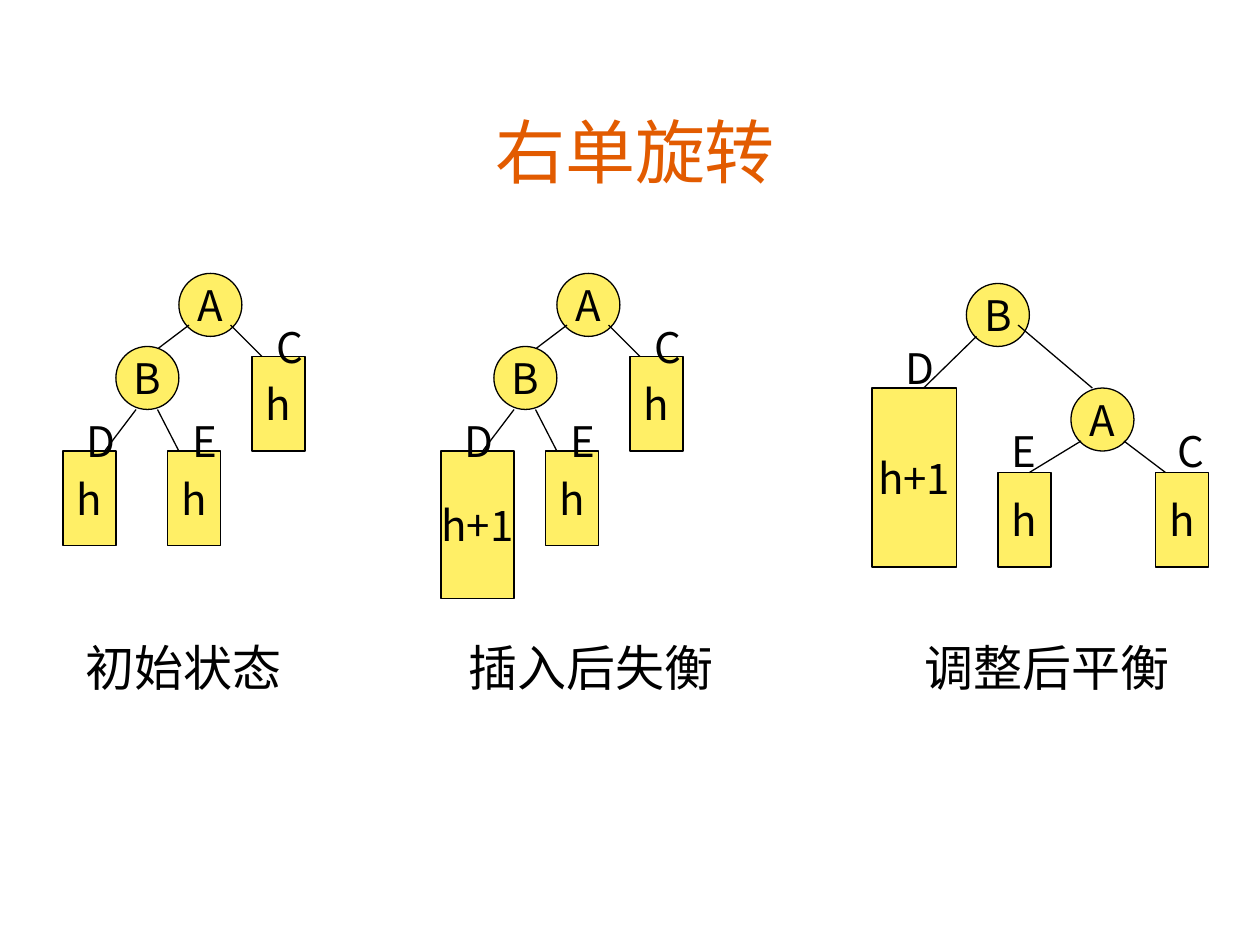
from lxml import etree
from pptx import Presentation
from pptx.dml.color import RGBColor
from pptx.enum.shapes import MSO_CONNECTOR, MSO_SHAPE
from pptx.enum.text import MSO_ANCHOR, MSO_AUTO_SIZE, PP_ALIGN
from pptx.oxml.ns import qn
from pptx.util import Inches, Pt

BLACK = RGBColor(0x00, 0x00, 0x00)
YELLOW = RGBColor(0xFF, 0xEF, 0x66)
ORANGE = RGBColor(0xE2, 0x5B, 0x00)
BODY_FONT = "Noto Sans CJK SC"
TITLE_FONT = "Comic Neue"
LINE_WIDTH = Pt(0.74)
NODE_SIZE = 0.5
LEAF_SIZE = (0.42, 0.75)
LABEL_SIZE = (0.6, 0.5)

# Content: parts of each tree, from back to front
TITLE = "右单旋转"


def unrotated_tree(d_text, d_size):
    return [
        ("node", "A", (1.42, 2.17)),
        ("leaf", d_text, (0.5, 3.58), d_size),
        ("leaf", "h", (1.33, 3.58), LEAF_SIZE),
        ("leaf", "h", (2, 2.83), LEAF_SIZE),
        ("edge", (1.5, 2.58), (1.17, 2.83)),
        ("edge", (1.83, 2.58), (2.08, 2.83)),
        ("edge", (1.08, 3.25), (0.83, 3.58)),
        ("edge", (1.25, 3.25), (1.42, 3.58)),
        ("node", "B", (0.92, 2.75)),
        ("label", "D", (0.5, 3.25)),
        ("label", "E", (1.33, 3.25)),
        ("label", "C", (2, 2.5)),
    ]


ROTATED_TREE = [
    ("node", "A", (8.5, 3.08)),
    ("node", "B", (7.67, 2.25)),
    ("leaf", "h+1", (6.92, 3.08), (0.67, 1.42)),
    ("leaf", "h", (7.92, 3.75), LEAF_SIZE),
    ("leaf", "h", (9.17, 3.75), LEAF_SIZE),
    ("edge", (7.75, 2.67), (7.33, 3.08)),
    ("edge", (8.08, 2.58), (8.67, 3.08)),
    ("edge", (8.58, 3.5), (8.17, 3.75)),
    ("edge", (8.92, 3.5), (9.25, 3.75)),
    ("label", "D", (7, 2.67)),
    ("label", "E", (7.83, 3.33)),
    ("label", "C", (9.15, 3.33)),
]

# Parts, horizontal offset, grouped
TREES = [
    (unrotated_tree("h", LEAF_SIZE), 0, False),
    (unrotated_tree("h+1", (0.58, 1.17)), 3, False),
    (ROTATED_TREE, 0, True),
]

# Text, left, width
CAPTIONS = [
    ("初始状态", 0.51, 1.89),
    ("插入后失衡", 3.43, 2.52),
    ("调整后平衡", 7.05, 2.52),
]


def write_text(shape, text, size=24, font=BODY_FONT, color=BLACK,
               anchor=MSO_ANCHOR.TOP, wrap=True, space_before=15):
    frame = shape.text_frame
    frame.word_wrap = wrap
    frame.vertical_anchor = anchor
    paragraph = frame.paragraphs[0]
    paragraph.alignment = PP_ALIGN.CENTER
    paragraph.space_before = Pt(space_before)
    run = paragraph.add_run()
    run.text = text
    run.font.size = Pt(size)
    run.font.name = font
    run.font.color.rgb = color
    east_asian = etree.SubElement(run._r.get_or_add_rPr(), qn("a:ea"))
    east_asian.set("typeface", BODY_FONT)


def add_box(shapes, preset, text, position, box_size):
    shape = shapes.add_shape(preset, *map(Inches, position + box_size))
    shape.shadow.inherit = False
    shape.fill.solid()
    shape.fill.fore_color.rgb = YELLOW
    shape.line.color.rgb = BLACK
    shape.line.width = LINE_WIDTH
    write_text(shape, text, anchor=MSO_ANCHOR.MIDDLE, wrap=False)


def add_edge(shapes, start, end):
    edge = shapes.add_connector(MSO_CONNECTOR.STRAIGHT, *map(Inches, start + end))
    edge.line.color.rgb = BLACK
    edge.line.width = LINE_WIDTH
    etree.SubElement(edge._element.spPr, qn("a:effectLst"))


def add_label(shapes, text, position, box_size, **text_format):
    label = shapes.add_textbox(*map(Inches, position + box_size))
    write_text(label, text, **text_format)
    label.text_frame.auto_size = MSO_AUTO_SIZE.SHAPE_TO_FIT_TEXT


def add_tree(shapes, parts, offset):
    def moved(point):
        return (point[0] + offset, point[1])

    for kind, *values in parts:
        if kind == "edge":
            add_edge(shapes, *map(moved, values))
            continue
        text, position, *sizes = values
        if kind == "node":
            add_box(shapes, MSO_SHAPE.FLOWCHART_CONNECTOR, text,
                    moved(position), (NODE_SIZE, NODE_SIZE))
        elif kind == "leaf":
            add_box(shapes, MSO_SHAPE.FLOWCHART_PROCESS, text,
                    moved(position), sizes[0])
        else:
            add_label(shapes, text, moved(position), LABEL_SIZE)


presentation = Presentation()
presentation.slide_width = Inches(10)
presentation.slide_height = Inches(7.5)
slide = presentation.slides.add_slide(presentation.slide_layouts[5])

# Title
title = slide.shapes.title
title.left, title.top = Inches(0.75), Inches(0.75)
title.width, title.height = Inches(8.58), Inches(0.83)
write_text(title, TITLE, size=40, font=TITLE_FONT, color=ORANGE,
           anchor=MSO_ANCHOR.BOTTOM, space_before=0)

# Trees
for parts, offset, grouped in TREES:
    shapes = slide.shapes.add_group_shape().shapes if grouped else slide.shapes
    add_tree(shapes, parts, offset)

# Captions
for text, left, width in CAPTIONS:
    add_label(slide.shapes, text, (left, 5.01), (width, 0.57),
              size=28, space_before=17.5)

presentation.save("out.pptx")
